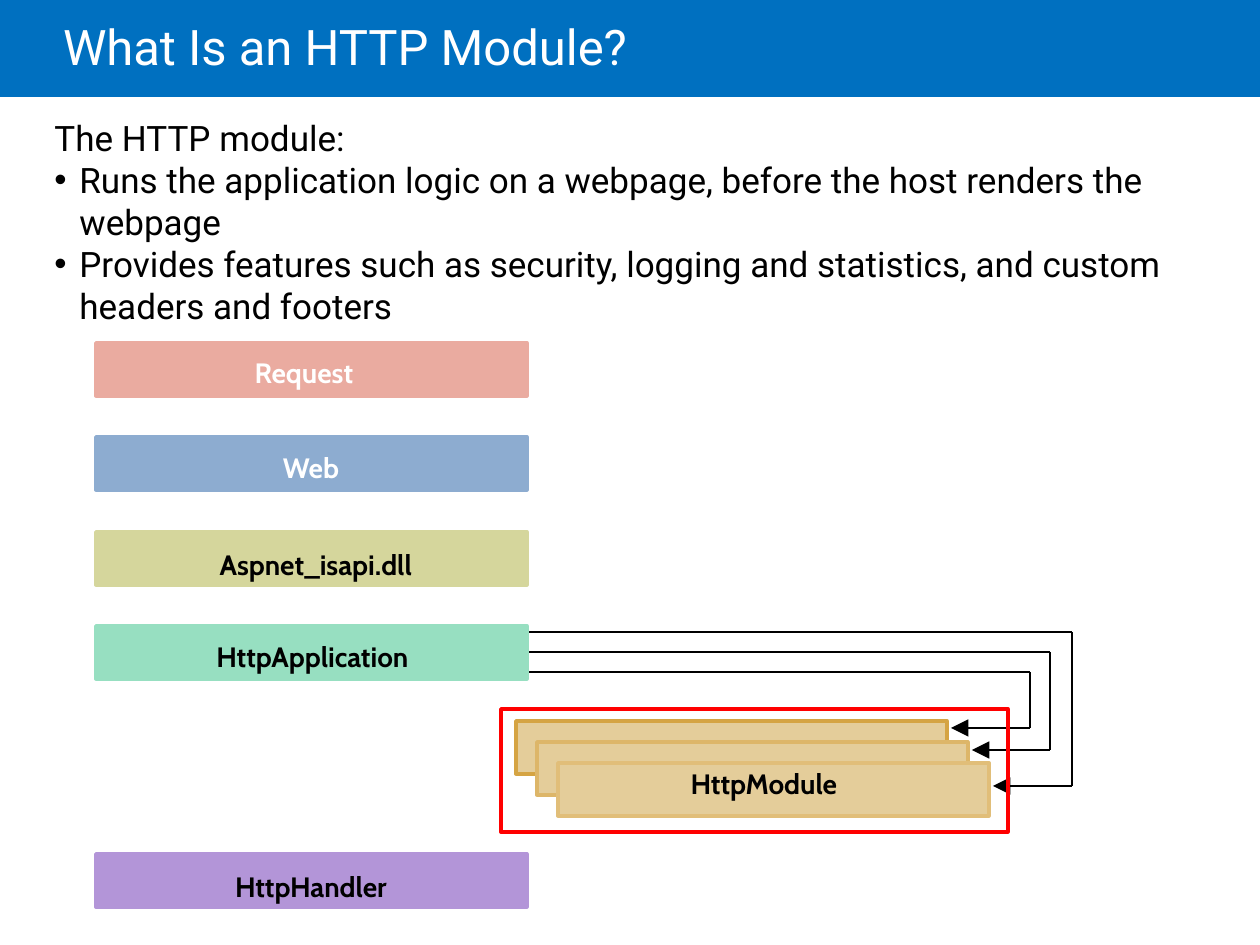
from itertools import pairwise
from lxml import etree
from pptx import Presentation
from pptx.dml.color import RGBColor
from pptx.enum.shapes import MSO_CONNECTOR as Link, MSO_SHAPE as Shape
from pptx.enum.text import MSO_ANCHOR as Anchor, PP_ALIGN as Align
from pptx.oxml.ns import qn
from pptx.util import Emu, Pt

PX = 914400 / 126
COLORS = {
    "header": "0070C0", "white": "FFFFFF", "black": "000000", "focus": "FF0000",
    "request": "EAABA0", "server": "8DACD0", "isapi": "D5D69C",
    "application": "97DFC1", "handler": "B395D8", "module": "E4CD9A",
    "module_back": "D5A443", "module_middle": "DDB669", "module_front": "E1BE79",
}


def box(x, y, w, h, fill=None, line=None):
    rect = slide.shapes.add_shape(Shape.RECTANGLE, *[Emu(round(v * PX)) for v in (x, y, w, h)])
    rect.shadow.inherit = False
    if fill:
        rect.fill.solid()
        rect.fill.fore_color.rgb = RGBColor.from_string(COLORS[fill])
    else:
        rect.fill.background()
    if line:
        rect.line.color.rgb = RGBColor.from_string(COLORS[line])
        rect.line.width = Pt(2)
    else:
        rect.line.fill.background()
    return rect


def write(text, x, y, w, h, holder=None, size=16, font="Cabin", color="black",
          bold=False, align=Align.LEFT, anchor=Anchor.TOP, spacing=None, bullets_from=None):
    place = [Emu(round(v * PX)) for v in (x, y, w, h)]
    holder = holder or slide.shapes.add_textbox(*place)
    holder.left, holder.top, holder.width, holder.height = place
    frame = holder.text_frame
    frame.word_wrap = True
    frame.vertical_anchor = anchor
    frame.text = text
    for i, para in enumerate(frame.paragraphs):
        if bullets_from is not None and i >= bullets_from:
            props = para._p.get_or_add_pPr()
            indent = round(25 * PX)
            props.set("marL", str(indent))
            props.set("indent", str(-indent))
            etree.SubElement(props, qn("a:buFont")).set("typeface", "Arial")
            etree.SubElement(props, qn("a:buChar")).set("char", "•")
        para.alignment = align
        if spacing:
            para.line_spacing = spacing
        para.font.size = Pt(size)
        para.font.name = font
        para.font.bold = bold
        para.font.color.rgb = RGBColor.from_string(COLORS[color])
    return frame


prs = Presentation()
prs.slide_width, prs.slide_height = Emu(round(1260 * PX)), Emu(round(945 * PX))
slide = prs.slides.add_slide(prs.slide_layouts[5])

header = box(0, 0, 1260, 97, "header")
slide.shapes._spTree.insert(2, header._element)
heading = write("What Is an HTTP Module?", 63, 0, 1071, 102, slide.shapes.title,
                size=28, font="Roboto", color="white", anchor=Anchor.MIDDLE, spacing=0.85)
heading.margin_left = 0

write("The HTTP module:\n"
      "Runs the application logic on a webpage, before the host renders the webpage\n"
      "Provides features such as security, logging and statistics, and custom headers and footers",
      42, 110, 1178, 224, size=20, font="Roboto", bullets_from=1)

calls = [(505, 632, 1072, 786, 993), (484, 652, 1050, 750, 972), (462, 672, 1030, 728, 951)]
for start, out_y, turn, in_y, tip in calls:
    corners = [(start, out_y), (turn, out_y), (turn, in_y), (tip, in_y)]
    for begin, end in pairwise(corners):
        segment = slide.shapes.add_connector(Link.STRAIGHT, *[Emu(round(v * PX)) for v in begin + end])
        segment.line.color.rgb = RGBColor.from_string(COLORS["black"])
        segment.line.width = Pt(1.25)
        if end == corners[-1]:
            arrow = etree.SubElement(segment.line._get_or_add_ln(), qn("a:tailEnd"))
            for key, value in (("type", "triangle"), ("w", "lg"), ("len", "lg")):
                arrow.set(key, value)
        etree.SubElement(segment._element.spPr, qn("a:effectLst"))

box(501, 709, 507, 123, line="focus")

for i, edge in enumerate(["module_back", "module_middle", "module_front"]):
    box(516 + 21 * i, 721 + 21 * i, 431, 53, "module", edge)
write("HttpModule", 658, 760, 212, 47, bold=True, align=Align.CENTER)

stages = [
    ("Request", "request", "white", 343, 198, 349, 212),
    ("Web", "server", "white", 437, 205, 444, 212),
    ("Aspnet_isapi.dll", "isapi", "black", 532, 160, 541, 312),
    ("HttpApplication", "application", "black", 626, 175, 633, 275),
    ("HttpHandler", "handler", "black", 854, 205, 863, 212),
]
for label, fill, ink, top, label_x, label_y, label_w in stages:
    box(96, top, 431, 53, fill, fill)
    write(label, label_x, label_y, label_w, 47, color=ink, bold=True, align=Align.CENTER)

prs.save("out.pptx")
